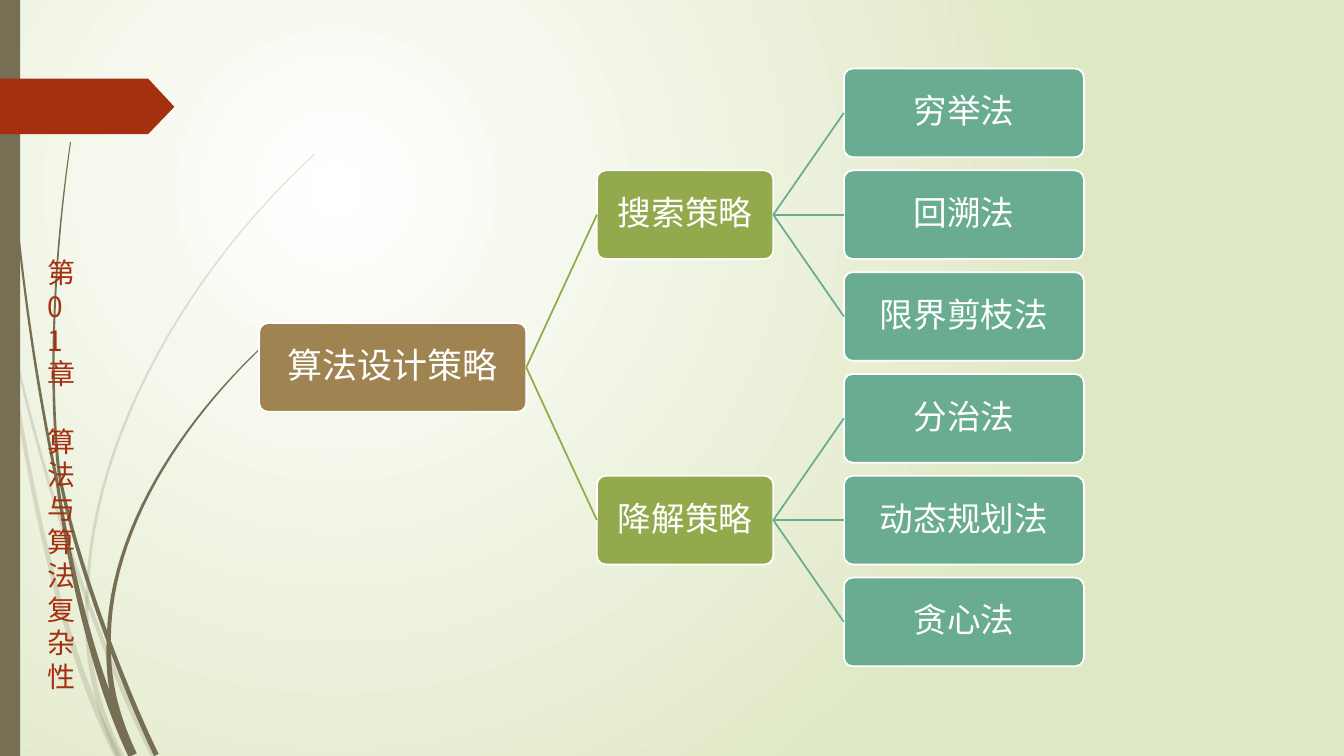
from dataclasses import dataclass
from lxml import etree
from pptx import Presentation
from pptx.dml.color import RGBColor
from pptx.enum.shapes import MSO_CONNECTOR, MSO_SHAPE
from pptx.enum.text import MSO_ANCHOR, PP_ALIGN
from pptx.oxml.ns import qn
from pptx.util import Pt

RECT, ROUNDED = MSO_SHAPE.RECTANGLE, MSO_SHAPE.ROUNDED_RECTANGLE
STRAIGHT = MSO_CONNECTOR.STRAIGHT
MIDDLE, CENTER, LEFT = MSO_ANCHOR.MIDDLE, PP_ALIGN.CENTER, PP_ALIGN.LEFT
PX = 9144
SLIDE_W, SLIDE_H = 1333, 750


@dataclass(frozen=True)
class Theme:
    white: str = "FFFFFF"
    mist: str = "DFE8C4"
    bark: str = "766F54"
    rust: str = "A53010"
    levels: tuple = ("9F8351", "92AA4C", "6AAC91")
    level_sizes: tuple = (25, 24, 24)
    chapter_size: int = 20
    chapter_pitch: int = 24
    line: float = 1.25
    latin: str = "TeX Gyre Adventor"
    cjk: str = "Noto Sans CJK SC"


T = Theme()

STRATEGIES = ("算法设计策略", {
    "搜索策略": ["穷举法", "回溯法", "限界剪枝法"],
    "降解策略": ["分治法", "动态规划法", "贪心法"],
})
CHAPTER = ["第", "01", "章"]
CHAPTER_NAME = list("算法与算法复杂性")

NODE_LEFT, NODE_TOP, NODE_H = 257, 68, 88
NODE_WIDTHS = (265, 175, 238)
LEVEL_GAP, ROW_PITCH = 70, 101
NODE_INSET = 5

BANNER = [(173, 106), (147, 133), (0, 133), (0, 78), (147, 78)]

# Each blade: four control points of its centre line, then its width at both ends.
PALE_BLADES = [
    ((0, 290), (25, 455), (51, 620), (117, 751), 3, 6),
    ((14, 345), (36, 450), (92, 635), (153, 751), 2, 5),
    ((312, 153), (190, 265), (92, 430), (87, 584), 1, 3),
    ((87, 584), (82, 640), (95, 705), (120, 751), 3, 7),
]
DARK_BLADES = [
    ((3, 0), (7, 165), (26, 335), (57, 480), 1, 3),
    ((57, 480), (70, 570), (95, 675), (131, 749), 3, 8),
    ((70, 141), (54, 250), (48, 370), (58, 465), 1, 3),
    ((58, 465), (70, 540), (118, 672), (155, 749), 3, 5),
    ((260, 344), (180, 420), (110, 525), (108, 632), 1, 4),
    ((108, 632), (106, 675), (115, 712), (132, 749), 4, 8),
]


def paint(sp, color, alpha=None):
    sp.shadow.inherit = False
    sp.fill.solid()
    sp.fill.fore_color.rgb = RGBColor.from_string(color)
    sp.line.fill.background()
    if alpha:
        clr = sp.fill._xPr.find(qn("a:solidFill"))[0]
        etree.SubElement(clr, qn("a:alpha"), val=str(alpha * 1000))


def add_outline(s, points, color, alpha=None):
    pts = [(round(x * PX), round(y * PX)) for x, y in points]
    builder = s.shapes.build_freeform(*pts[0], scale=1.0)
    builder.add_line_segments(pts[1:], close=True)
    paint(builder.convert_to_shape(), color, alpha)


def trace(blade, steps=24):
    *ctrl, first, last = blade
    left, right = [], []
    for k in range(steps + 1):
        t = k / steps
        weights = ((1 - t) ** 3, 3 * t * (1 - t) ** 2, 3 * t * t * (1 - t), t ** 3)
        x, y = (sum(w * p[a] for w, p in zip(weights, ctrl)) for a in (0, 1))
        slopes = ((1 - t) ** 2, 2 * t * (1 - t), t * t)
        dx, dy = (sum(w * (q[a] - p[a]) for w, p, q in zip(slopes, ctrl, ctrl[1:])) for a in (0, 1))
        half = (first + (last - first) * t) / 2 / (dx * dx + dy * dy) ** 0.5
        left.append((x - dy * half, y + dx * half))
        right.append((x + dy * half, y - dx * half))
    return left + right[::-1]


def add_text(p, text, size, color, latin, align):
    p.alignment = align
    r = p.add_run()
    r.text = text
    r.font.size, r.font.name = Pt(size), latin
    r.font.color.rgb = RGBColor.from_string(color)
    etree.SubElement(r._r.get_or_add_rPr(), qn("a:ea"), typeface=T.cjk)


def set_background(s):
    fill = s.background.fill
    fill.gradient()
    for stop, color, pos in zip(fill.gradient_stops, (T.white, T.mist), (0, 1)):
        stop.color.rgb = RGBColor.from_string(color)
        stop.position = pos
    grad = s.element.find(".//" + qn("a:gradFill"))
    for lin in grad.findall(qn("a:lin")):
        grad.remove(lin)
    circle = etree.SubElement(grad, qn("a:path"), path="circle")
    etree.SubElement(circle, qn("a:fillToRect"), l="50000", t="50000", r="100000", b="100000")


def add_chapter(s):
    tf = s.shapes.add_textbox(37 * PX, 249 * PX, 48 * PX, 414 * PX).text_frame
    tf.word_wrap = True
    for i, text in enumerate(CHAPTER + CHAPTER_NAME):
        p = tf.add_paragraph() if i else tf.paragraphs[0]
        p.line_spacing = Pt(T.chapter_pitch)
        if i == len(CHAPTER):
            p.space_before = Pt(T.chapter_pitch)
        add_text(p, text, T.chapter_size, T.rust, T.cjk, LEFT)


def add_node(s, text, level, row):
    left = NODE_LEFT + sum(NODE_WIDTHS[:level]) + LEVEL_GAP * level
    top = NODE_TOP + row * ROW_PITCH
    sp = s.shapes.add_shape(ROUNDED, left * PX, round(top * PX), NODE_WIDTHS[level] * PX, NODE_H * PX)
    sp.adjustments[0] = 0.1
    paint(sp, T.levels[level])
    sp.line.color.rgb = RGBColor.from_string(T.white)
    sp.line.width = Pt(T.line)
    tf = sp.text_frame
    tf.word_wrap, tf.vertical_anchor = True, MIDDLE
    tf.margin_left = tf.margin_right = tf.margin_top = tf.margin_bottom = NODE_INSET * PX
    p = tf.paragraphs[0]
    p.line_spacing = 0.9
    add_text(p, text, T.level_sizes[level], T.white, T.latin, CENTER)
    return sp


def join(s, parent, child, level):
    c = s.shapes.add_connector(STRAIGHT, 0, 0, 0, 0)
    c.begin_connect(parent, 3)
    c.end_connect(child, 1)
    c.line.color.rgb = RGBColor.from_string(T.levels[level])
    c.line.width = Pt(T.line)
    etree.SubElement(c._element.spPr, qn("a:effectLst"))


def add_tree(s):
    title, branches = STRATEGIES
    total = sum(len(methods) for methods in branches.values())
    root = add_node(s, title, 0, (total - 1) / 2)
    row = 0
    for name, methods in branches.items():
        branch = add_node(s, name, 1, row + (len(methods) - 1) / 2)
        join(s, root, branch, 1)
        for method in methods:
            join(s, branch, add_node(s, method, 2, row), 2)
            row += 1


def main():
    prs = Presentation()
    prs.slide_width, prs.slide_height = SLIDE_W * PX, SLIDE_H * PX
    s = prs.slides.add_slide(prs.slide_layouts[6])
    set_background(s)
    for blades, alpha in ((PALE_BLADES, 20), (DARK_BLADES, None)):
        for blade in blades:
            add_outline(s, trace(blade), T.bark, alpha)
    paint(s.shapes.add_shape(RECT, 0, 0, 20 * PX, SLIDE_H * PX), T.bark)
    add_chapter(s)
    add_outline(s, BANNER, T.rust)
    add_tree(s)
    prs.save("out.pptx")


if __name__ == "__main__":
    main()
